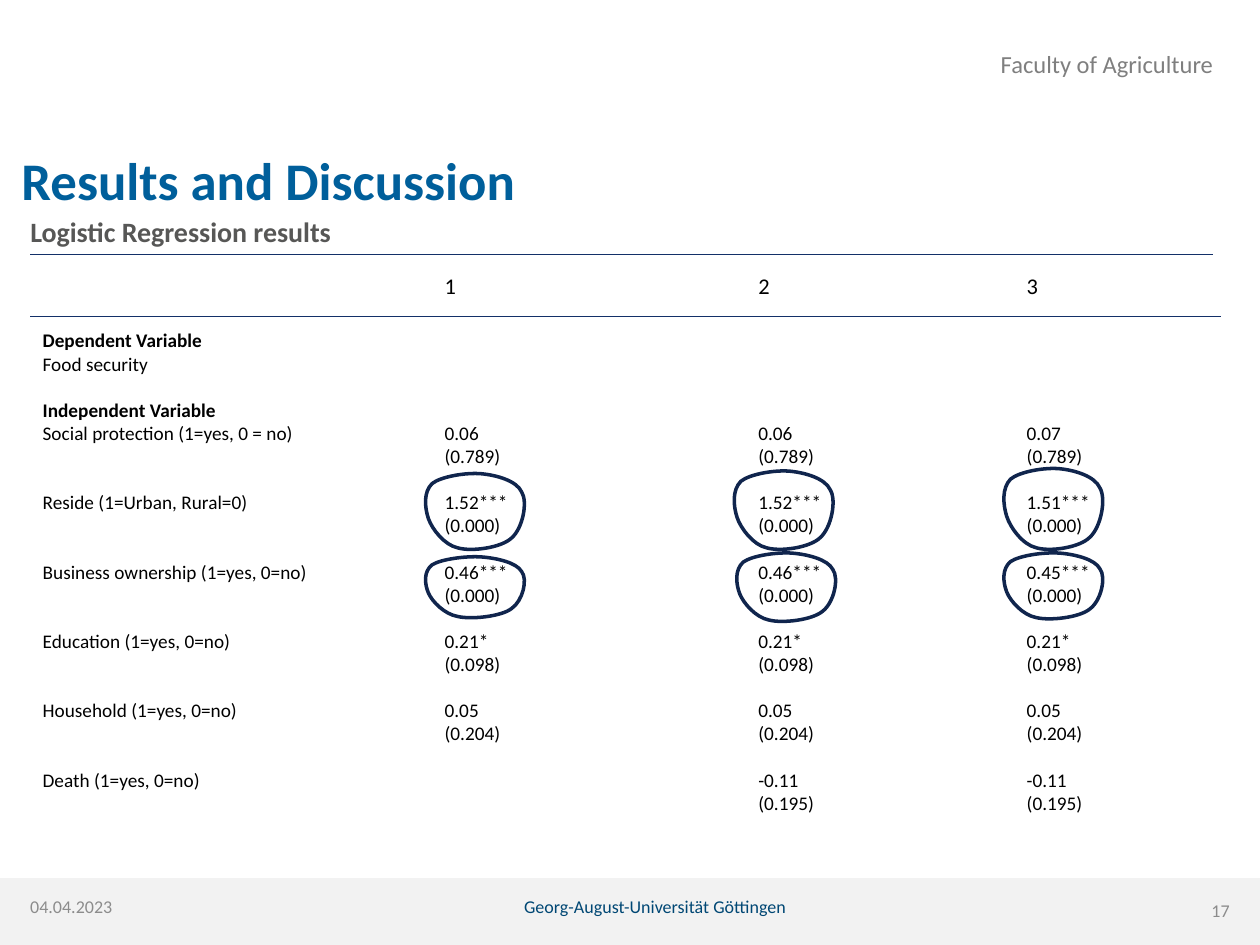
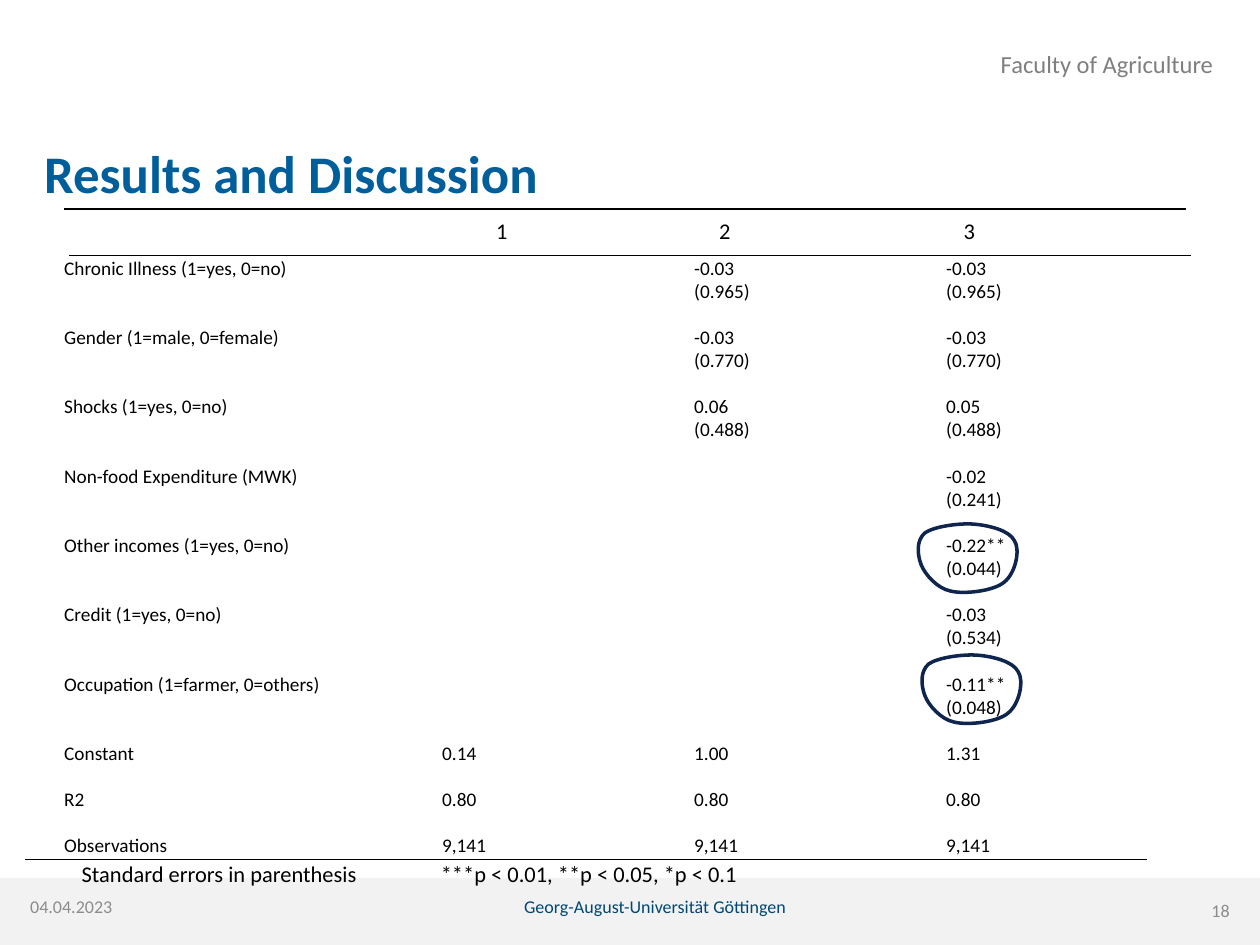
"""Build two slides of logistic regression results."""
from lxml.etree import SubElement
from pptx import Presentation
from pptx.dml.color import RGBColor
from pptx.enum.shapes import MSO_CONNECTOR, MSO_SHAPE
from pptx.enum.text import MSO_ANCHOR, PP_ALIGN
from pptx.oxml.ns import qn
from pptx.util import Inches, Pt

COLORS = {
    "title": "005F9B", "subtitle": "575756", "faculty": "7F7F7F",
    "footer": "004774", "muted": "8C8C8C", "band": "F2F2F2",
    "text": "000000", "navy_rule": "133068", "marker": "10254D",
}
FONT = "Calibri"
WIDTH, HEIGHT = 10, 7.5
BAND_TOP = 6.97
LINE_POINTS = 13.2
MARKER_WIDTH, MARKER_HEIGHT = 0.79, 0.55
MARKER_START = (0.02, 0.32)
MARKER_CURVES = [
    ((-0.01, 0.24), (-0.02, 0.13), (0.05, 0.07)),
    ((0.12, 0.02), (0.32, -0.01), (0.44, 0)),
    ((0.56, 0.01), (0.72, 0.05), (0.76, 0.13)),
    ((0.81, 0.20), (0.77, 0.39), (0.68, 0.46)),
    ((0.60, 0.53), (0.36, 0.56), (0.25, 0.53)),
    ((0.15, 0.51), (0.05, 0.40), MARKER_START),
]

SLIDES = [
    {
        "number": "17",
        "title_box": (0.17, 1.17, 8.34, 0.69),
        "subtitle": "Logistic Regression results",
        "header_box": (0.24, 2.11, 9.39, 0.32),
        "header_stops": [3.53, 6.02, 8.15],
        "body_box": (0.24, 2.56, 9.52, 3.99),
        "body_inset": (0.1, 0.05),
        "body_stops": [3.53, 6.02, 8.15],
        "rows": [
            ("Dependent Variable", "Food security", [], ""),
            ("Independent Variable", "Social protection (1=yes, 0 = no)",
             ["0.06", "0.06", "0.07"], "(0.789)"),
            ("", "Reside (1=Urban, Rural=0)", ["1.52***", "1.52***", "1.51***"], "(0.000)"),
            ("", "Business ownership (1=yes, 0=no)", ["0.46***", "0.46***", "0.45***"], "(0.000)"),
            ("", "Education (1=yes, 0=no)", ["0.21*", "0.21*", "0.21*"], "(0.098)"),
            ("", "Household (1=yes, 0=no)", ["0.05", "0.05", "0.05"], "(0.204)"),
            ("", "Death (1=yes, 0=no)", ["", "-0.11", "-0.11"], "(0.195)"),
        ],
        "footnote": "",
        "rule_color": "navy_rule",
        "rules": [(0.24, 9.63, 2.02), (0.24, 9.69, 2.51)],
        "markers": [
            (3.38, 3.76, 0.61), (5.83, 3.74, 0.63), (7.97, 3.72, 0.65),
            (3.38, 4.42, 0.49), (5.85, 4.39, 0.55), (7.97, 4.39, 0.53),
        ],
    },
    {
        "number": "18",
        "title_box": (0.35, 1.12, 8.34, 0.52),
        "subtitle": "",
        "header_box": (0.64, 1.67, 8.9, 0.32),
        "header_stops": [3.94, 5.71, 7.65],
        "body_box": (0.51, 2.03, 9.37, 5.18),
        "body_inset": (0, 0),
        "body_stops": [3.51, 5.51, 7.51],
        "rows": [
            ("", "Chronic Illness (1=yes, 0=no)", ["", "-0.03", "-0.03"], "(0.965)"),
            ("", "Gender (1=male, 0=female)", ["", "-0.03", "-0.03"], "(0.770)"),
            ("", "Shocks (1=yes, 0=no)", ["", "0.06", "0.05"], "(0.488)"),
            ("", "Non-food Expenditure (MWK)", ["", "", "-0.02"], "(0.241)"),
            ("", "Other incomes (1=yes, 0=no)", ["", "", "-0.22**"], "(0.044)"),
            ("", "Credit (1=yes, 0=no)", ["", "", "-0.03"], "(0.534)"),
            ("", "Occupation (1=farmer, 0=others)", ["", "", "-0.11**"], "(0.048)"),
            ("", "Constant", ["0.14", "1.00", "1.31"], ""),
            ("", "R2", ["0.80", "0.80", "0.80"], ""),
            ("", "Observations", ["9,141", "9,141", "9,141"], ""),
        ],
        "footnote": "Standard errors in parenthesis\t***p < 0.01, **p < 0.05, *p < 0.1",
        "rule_color": "text",
        "rules": [(0.51, 9.41, 1.66), (0.55, 9.45, 2.03), (0.2, 9.1, 6.82)],
        "markers": [(7.32, 5.2, 0.55), (7.29, 4.16, 0.55)],
    },
]


def place_box(slide, box, inset=(0, 0), shape=None):
    """Return the text frame of a new box or of a given shape moved into place."""
    lengths = [Inches(length) for length in box]
    shape = shape or slide.shapes.add_textbox(*lengths)
    shape.left, shape.top, shape.width, shape.height = lengths
    frame = shape.text_frame
    frame.word_wrap = True
    frame.vertical_anchor = MSO_ANCHOR.TOP
    frame.margin_left = frame.margin_right = Inches(inset[0])
    frame.margin_top = frame.margin_bottom = Inches(inset[1])
    return frame


def write_line(paragraph, text, size, color, bold=False, align=PP_ALIGN.LEFT, stops=()):
    """Add one formatted run to a paragraph, with tab stops in inches."""
    paragraph.alignment = align
    if stops:
        tab_list = SubElement(paragraph._p.get_or_add_pPr(), qn("a:tabLst"))
        for stop in stops:
            SubElement(tab_list, qn("a:tab"), pos=str(Inches(stop)), algn="l")
    run = paragraph.add_run()
    run.text = text
    run.font.name = FONT
    run.font.size = Pt(size)
    run.font.bold = bold
    run.font.color.rgb = RGBColor.from_string(COLORS[color])


presentation = Presentation()
presentation.slide_width = Inches(WIDTH)
presentation.slide_height = Inches(HEIGHT)

for content in SLIDES:
    slide = presentation.slides.add_slide(presentation.slide_layouts[5])

    band = slide.shapes.add_shape(
        MSO_SHAPE.RECTANGLE, 0, Inches(BAND_TOP), Inches(WIDTH), Inches(HEIGHT - BAND_TOP))
    band.shadow.inherit = False
    band.fill.solid()
    band.fill.fore_color.rgb = RGBColor.from_string(COLORS["band"])
    band.line.fill.background()

    title_frame = place_box(slide, content["title_box"], shape=slide.shapes.title)
    write_line(title_frame.paragraphs[0], "Results and Discussion", 30.2, "title", True)

    for text, box, size, color, bold, align in [
        (content["subtitle"], (0.24, 1.7, 9.39, 0.81), 16, "subtitle", True, PP_ALIGN.LEFT),
        ("Georg-August-Universität Göttingen", (1.89, 7.11, 6.62, 0.21), 10.3, "footer", False,
         PP_ALIGN.CENTER),
        ("04.04.2023", (0.24, 7.11, 1.13, 0.21), 10.3, "muted", False, PP_ALIGN.LEFT),
        (content["number"], (9.1, 7.14, 0.66, 0.19), 10.3, "muted", False, PP_ALIGN.RIGHT),
        ("Faculty of Agriculture", (6.52, 0.39, 3.11, 0.47), 14, "faculty", False, PP_ALIGN.RIGHT),
    ]:
        if text:
            write_line(place_box(slide, box).paragraphs[0], text, size, color, bold, align)

    for left, right, top in content["rules"]:
        rule = slide.shapes.add_connector(
            MSO_CONNECTOR.STRAIGHT, Inches(left), Inches(top), Inches(right), Inches(top))
        rule.line.color.rgb = RGBColor.from_string(COLORS[content["rule_color"]])
        rule.line.width = Pt(0.75)
        SubElement(rule._element.spPr, qn("a:effectLst"))

    for text, box, columns in [
        ("\t1\t2\t3", content["header_box"], content["header_stops"]),
        (content["footnote"], (0.55, 6.78, 8.43, 0.32), [3.5]),
    ]:
        if text:
            frame = place_box(slide, box, (0.1, 0.05))
            stops = [column - box[0] - 0.1 for column in columns]
            write_line(frame.paragraphs[0], text, 12.8, "text", stops=stops)

    body = place_box(slide, content["body_box"], content["body_inset"])
    text_left = content["body_box"][0] + content["body_inset"][0]
    stops = [column - text_left for column in content["body_stops"]]
    paragraph = body.paragraphs[0]
    for row_index, (heading, label, estimates, error) in enumerate(content["rows"]):
        errors = [error if estimate else "" for estimate in estimates]
        lines = [heading, "\t".join([label] + estimates), "\t".join([""] + errors) if error else ""]
        for line_index, line in enumerate(filter(None, lines)):
            if row_index or line_index:
                paragraph = body.add_paragraph()
            paragraph.line_spacing = Pt(LINE_POINTS)
            paragraph.space_before = Pt(LINE_POINTS if row_index and not line_index else 0)
            write_line(paragraph, line, 11, "text", line == heading,
                       stops=stops if "\t" in line else ())

    for left, top, height in content["markers"]:
        builder = slide.shapes.build_freeform(Inches(left), Inches(top))
        builder.add_line_segments([(Inches(left + MARKER_WIDTH), Inches(top + height))])
        marker = builder.convert_to_shape()
        outline = marker._element.find(".//" + qn("a:path"))
        for segment in list(outline):
            outline.remove(segment)
        for tag, points in [("a:moveTo", [MARKER_START])] + [
                ("a:cubicBezTo", curve) for curve in MARKER_CURVES]:
            segment = SubElement(outline, qn(tag))
            for x, y in points:
                SubElement(segment, qn("a:pt"), x=str(Inches(x)),
                           y=str(Inches(y * height / MARKER_HEIGHT)))
        SubElement(outline, qn("a:close"))
        marker.shadow.inherit = False
        marker.fill.background()
        marker.line.color.rgb = RGBColor.from_string(COLORS["marker"])
        marker.line.width = Pt(2)

presentation.save("out.pptx")
